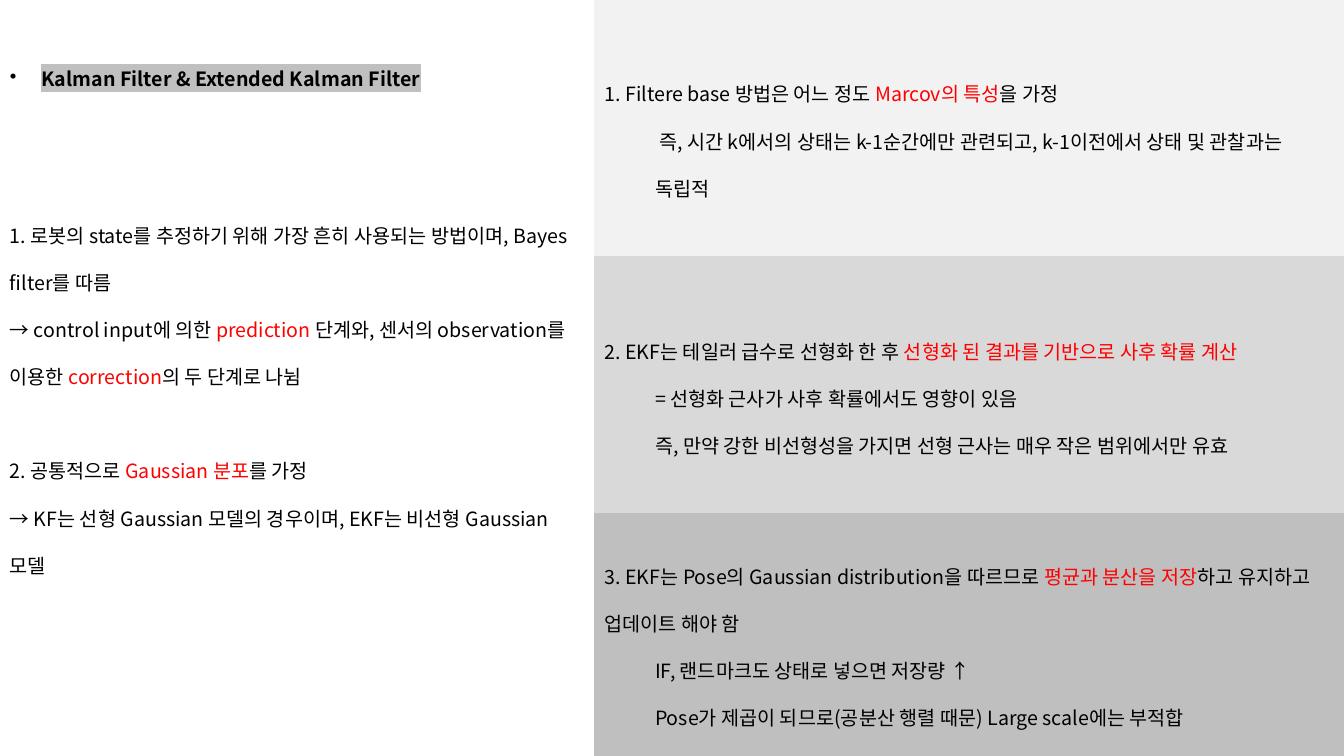
from dataclasses import dataclass

from lxml.etree import SubElement
from pptx import Presentation
from pptx.dml.color import RGBColor
from pptx.enum.shapes import MSO_SHAPE
from pptx.enum.text import MSO_ANCHOR, PP_ALIGN
from pptx.oxml.ns import qn
from pptx.util import Pt


@dataclass(frozen=True)
class Theme:
    font: str = "Noto Sans CJK KR"
    size: float = 14
    ink: str = "000000"
    accent: str = "FF0000"
    mark: str = "C0C0C0"
    paper: str = "FFFFFF"
    shades: tuple = ("F2F2F2", "D9D9D9", "BFBFBF")


@dataclass
class Line:
    """One paragraph; words between asterisks take the accent colour."""
    text: str
    indent: float = 0
    before: float = 0


WIDE, HIGH = 960, 540
SPLIT = 424.8
STEP, DEPTH = 183.6, 185
INDENT = 36
GAP = 33.6

TITLE = "Kalman Filter & Extended Kalman Filter"
BASICS = [
    Line("1. 로봇의 state를 추정하기 위해 가장 흔히 사용되는 방법이며, Bayes filter를 따름"),
    Line("→ control input에 의한 *prediction *단계와, 센서의 observation를 이용한 "
         "*correction*의 두 단계로 나뉨"),
    Line("2. 공통적으로 *Gaussian 분포*를 가정", before=GAP),
    Line("→ KF는 선형 Gaussian 모델의 경우이며, EKF는 비선형 Gaussian 모델"),
]
TRAITS = [
    [Line("1. Filtere base 방법은 어느 정도 *Marcov의 특성*을 가정"),
     Line(" 즉, 시간 k에서의 상태는 k-1순간에만 관련되고, k-1이전에서 상태 및 관찰과는 독립적",
          INDENT)],
    [Line("2. EKF는 테일러 급수로 선형화 한 후 *선형화 된 결과를 기반으로 사후 확률 계산*"),
     Line("= 선형화 근사가 사후 확률에서도 영향이 있음", INDENT),
     Line("즉, 만약 강한 비선형성을 가지면 선형 근사는 매우 작은 범위에서만 유효", INDENT)],
    [Line("3. EKF는 Pose의 Gaussian distribution을 따르므로 *평균과 분산을 저장*하고 "
          "유지하고 업데이트 해야 함"),
     Line("IF, 랜드마크도 상태로 넣으면 저장량 ↑", INDENT),
     Line("Pose가 제곱이 되므로(공분산 행렬 때문) Large scale에는 부적합", INDENT)],
]


class Board:
    def __init__(self, slide, theme):
        self.slide = slide
        self.theme = theme

    def panel(self, box, shade, lines, top=3.6):
        """Draw a filled block of text with the given top margin."""
        shape = self.slide.shapes.add_shape(MSO_SHAPE.RECTANGLE, *map(Pt, box))
        shape.shadow.inherit = False
        shape.fill.solid()
        shape.fill.fore_color.rgb = RGBColor.from_string(shade)
        shape.line.color.rgb = RGBColor.from_string(shade)
        shape.line.width = Pt(1)
        frame = shape.text_frame
        frame.margin_top = Pt(top)
        self.fill_text(frame, lines)

    def title(self, box, text):
        frame = self.slide.shapes.add_textbox(*map(Pt, box)).text_frame
        self.fill_text(frame, [Line(text)])
        para = frame.paragraphs[0]
        para.font.bold = True
        props = para._p.get_or_add_pPr()
        props.set("marL", str(Pt(22.5)))
        props.set("indent", str(Pt(-22.5)))
        bullet = props.makeelement(qn("a:buChar"), {"char": "•"})
        props.find(qn("a:defRPr")).addprevious(bullet)
        look = para.runs[0]._r.get_or_add_rPr()
        mark = SubElement(look, qn("a:highlight"))
        SubElement(mark, qn("a:srgbClr"), val=self.theme.mark)

    def fill_text(self, frame, lines):
        frame.word_wrap = True
        frame.vertical_anchor = MSO_ANCHOR.MIDDLE
        for i, line in enumerate(lines):
            para = frame.add_paragraph() if i else frame.paragraphs[0]
            para.alignment = PP_ALIGN.LEFT
            para.line_spacing = 2.0
            if line.before:
                para.space_before = Pt(line.before)
            if line.indent:
                para.level = 1
                para._p.get_or_add_pPr().set("marL", str(Pt(line.indent)))
            para.font.size = Pt(self.theme.size)
            para.font.name = self.theme.font
            look = para._p.pPr.find(qn("a:defRPr"))
            SubElement(look, qn("a:ea"), typeface=self.theme.font)
            for j, part in enumerate(line.text.split("*")):
                if part:
                    run = para.add_run()
                    run.text = part
                    tint = self.theme.accent if j % 2 else self.theme.ink
                    run.font.color.rgb = RGBColor.from_string(tint)


def main():
    deck = Presentation()
    deck.slide_width, deck.slide_height = Pt(WIDE), Pt(HIGH)
    theme = Theme()
    board = Board(deck.slides.add_slide(deck.slide_layouts[6]), theme)
    board.panel((0, 0, SPLIT, HIGH), theme.paper, BASICS, top=19)
    board.title((0, 26, 927.4, 44), TITLE)
    for i, (shade, lines) in enumerate(zip(theme.shades, TRAITS)):
        top = i * STEP
        box = (SPLIT, top, WIDE - SPLIT, min(DEPTH, HIGH - top))
        board.panel(box, shade, lines)
    deck.save("out.pptx")


if __name__ == "__main__":
    main()
